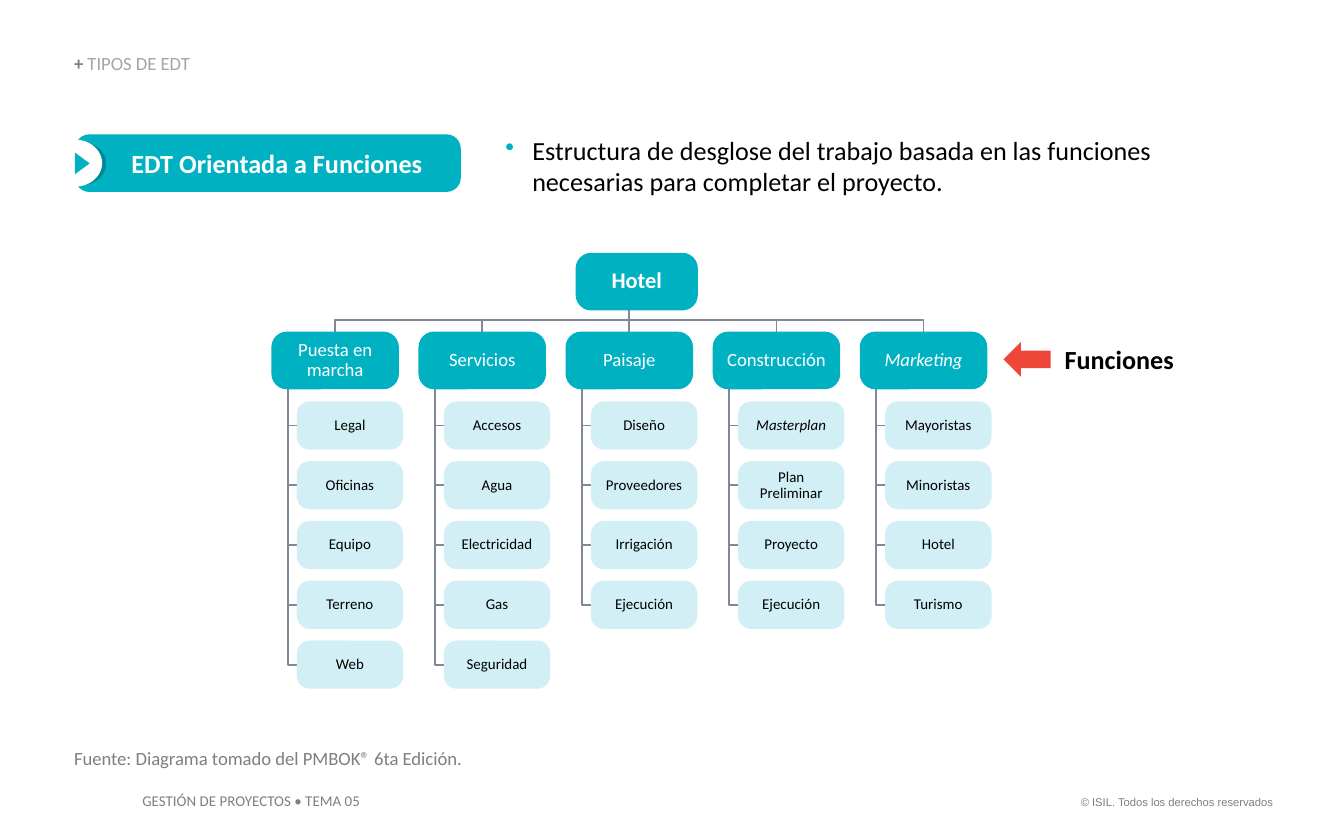
from lxml.etree import SubElement
from pptx import Presentation
from pptx.dml.color import RGBColor
from pptx.enum.shapes import MSO_CONNECTOR, MSO_SHAPE
from pptx.enum.text import MSO_ANCHOR, PP_ALIGN
from pptx.oxml.ns import qn
from pptx.util import Cm, Pt

TEAL = RGBColor(0x00, 0xB1, 0xC2)
DARK = RGBColor(0x00, 0x89, 0x96)
PALE = RGBColor(0xD1, 0xEF, 0xF4)
SLATE = RGBColor(0x80, 0x87, 0x99)
GRAY = RGBColor(0x7F, 0x7F, 0x7F)
SILVER = RGBColor(0xA5, 0xA5, 0xA5)
RED = RGBColor(0xEE, 0x46, 0x38)
WHITE = RGBColor(0xFF, 0xFF, 0xFF)
BLACK = RGBColor(0x00, 0x00, 0x00)

# Content
TITLE = "EDT Orientada a Funciones"
NOTE = ("Estructura de desglose del trabajo basada en las funciones "
        "necesarias para completar el proyecto.")
SOURCE = "Fuente: Diagrama tomado del PMBOK® 6ta Edición."
COURSE = "GESTIÓN DE PROYECTOS • TEMA 05"
RIGHTS = "© ISIL. Todos los derechos reservados"
ROOT = "Hotel"
TREE = [
    ("Puesta en marcha", ["Legal", "Oficinas", "Equipo", "Terreno", "Web"]),
    ("Servicios", ["Accesos", "Agua", "Electricidad", "Gas", "Seguridad"]),
    ("Paisaje", ["Diseño", "Proveedores", "Irrigación", "Ejecución"]),
    ("Construcción", ["Masterplan", "Plan\vPreliminar", "Proyecto", "Ejecución"]),
    ("Marketing", ["Mayoristas", "Minoristas", "Hotel", "Turismo"]),
]
ITALIC = {"Marketing", "Masterplan"}

# Tree grid, in cm
LEFT, STEP = 5.13, 2.78
HEAD_TOP, HEAD_W, HEAD_H = 6.27, 2.41, 1.09
LEAF_TOP, LEAF_W, LEAF_H, PITCH = 7.59, 2.01, 0.91, 1.13
LEAF_IN, TRUNK_IN = 0.48, 0.31
ROOT_TOP, BUS = 4.78, 6.05
ROUND = 0.268

deck = Presentation()
deck.slide_width, deck.slide_height = Cm(25.4), Cm(15.88)
slide = deck.slides.add_slide(deck.slide_layouts[6])
shapes = slide.shapes


def write(shape, text, size=10, color=BLACK, bold=False, italic=False,
          font="Calibri", align=PP_ALIGN.LEFT, anchor=MSO_ANCHOR.TOP,
          inset=(0, 0, 0, 0), space=None, bullet=None):
    frame = shape.text_frame
    frame.word_wrap = True
    frame.vertical_anchor = anchor
    (frame.margin_left, frame.margin_top,
     frame.margin_right, frame.margin_bottom) = [Cm(v) for v in inset]
    para = frame.paragraphs[0]
    para.text = text
    para.alignment = align
    if space:
        para.line_spacing = space
    if bullet:
        props = para._p.get_or_add_pPr()
        props.set("marL", str(Cm(0.51)))
        props.set("indent", str(-Cm(0.51)))
        tint = SubElement(props, qn("a:buClr"))
        SubElement(tint, qn("a:srgbClr")).set("val", str(bullet))
        SubElement(props, qn("a:buChar")).set("char", "•")
    for run in para.runs:
        style(run, size, color, bold, italic, font)
    return para


def style(run, size, color, bold=False, italic=False, font="Calibri"):
    run.font.size, run.font.name = Pt(size), font
    run.font.bold, run.font.italic = bold, italic
    run.font.color.rgb = color


def label(x, y, w, h, text, **form):
    return write(shapes.add_textbox(Cm(x), Cm(y), Cm(w), Cm(h)), text, **form)


def block(kind, x, y, w, h, fill, turn=0, round=None):
    item = shapes.add_shape(kind, Cm(x), Cm(y), Cm(w), Cm(h))
    item.shadow.inherit = False
    item.fill.solid()
    item.fill.fore_color.rgb = fill
    item.line.fill.background()
    item.rotation = turn
    if round:
        item.adjustments[0] = round
    return item


def node(x, y, w, h, fill, text, side=0, **form):
    item = block(MSO_SHAPE.ROUNDED_RECTANGLE, x, y, w, h, fill, round=ROUND)
    write(item, text, align=PP_ALIGN.CENTER, anchor=MSO_ANCHOR.MIDDLE,
          inset=(side, 0.13, side, 0.13), space=0.9,
          italic=text in ITALIC, **form)
    return item


def bend(*spots):
    spots = [(Cm(x), Cm(y)) for x, y in spots]
    pen = shapes.build_freeform(*spots[0])
    pen.add_line_segments(spots[1:], close=False)
    item = pen.convert_to_shape()
    item.shadow.inherit = False
    item.fill.background()
    item.line.color.rgb = SLATE
    item.line.width = Pt(1)


# Footer
label(20.09, 14.91, 4.22, 0.51, RIGHTS, size=6, color=GRAY, font="Arial",
      align=PP_ALIGN.RIGHT, inset=(0.25, 0.13, 0.25, 0.13))
label(2.44, 14.83, 4.83, 0.61, COURSE, size=8, color=GRAY,
      inset=(0.25, 0.13, 0.25, 0.13))

# Tree lines, behind the boxes
mid = len(TREE) // 2
hub = LEFT + mid * STEP + HEAD_W / 2
for col, (head, leaves) in enumerate(TREE):
    x = LEFT + col * STEP
    if col != mid:
        top = x + HEAD_W / 2
        bend((hub, ROOT_TOP + HEAD_H), (hub, BUS), (top, BUS), (top, HEAD_TOP))
    trunk = x + TRUNK_IN
    for row in range(len(leaves)):
        y = LEAF_TOP + row * PITCH + LEAF_H / 2
        bend((trunk, HEAD_TOP + HEAD_H), (trunk, y), (x + LEAF_IN, y))

# Section name and source
para = label(1.4, 1.04, 6.76, 0.38, "+ ", color=GRAY, bold=True,
             anchor=MSO_ANCHOR.BOTTOM, space=0.9)
run = para.add_run()
run.text = "TIPOS DE EDT"
style(run, 10, SILVER)
label(1.4, 14.12, 16.61, 0.43, SOURCE, color=GRAY)

# Title badge
badge = block(MSO_SHAPE.ROUNDED_RECTANGLE, 1.42, 2.54, 7.29, 1.09, TEAL, round=0.248)
write(badge, TITLE, size=14, color=WHITE, bold=True, align=PP_ALIGN.CENTER,
      anchor=MSO_ANCHOR.MIDDLE, inset=(0.71, 0.13, 0.37, 0.13))
block(MSO_SHAPE.OVAL, 1.07, 2.69, 0.94, 0.81, DARK)
block(MSO_SHAPE.OVAL, 0.91, 2.64, 1.02, 0.89, WHITE)
block(MSO_SHAPE.ISOSCELES_TRIANGLE, 1.35, 2.95, 0.41, 0.28, TEAL, turn=90)

# Definition
label(9.55, 2.54, 13.44, 1.19, NOTE, size=14, bullet=TEAL)

# Tree boxes
node(10.88, ROOT_TOP, 2.31, HEAD_H, TEAL, ROOT, side=0.25,
     size=12, color=WHITE, bold=True)
for col, (head, leaves) in enumerate(TREE):
    x = LEFT + col * STEP
    box = node(x, HEAD_TOP, HEAD_W, HEAD_H, TEAL, head, color=WHITE)
    if col == mid:
        stem = shapes.add_connector(MSO_CONNECTOR.STRAIGHT, Cm(hub),
                                    Cm(ROOT_TOP + HEAD_H), Cm(hub), Cm(HEAD_TOP))
        stem.end_connect(box, 0)
        stem.line.color.rgb = SLATE
        stem.line.width = Pt(1)
        SubElement(stem._element.spPr, qn("a:effectLst"))
    for row, leaf in enumerate(leaves):
        node(x + LEAF_IN, LEAF_TOP + row * PITCH, LEAF_W, LEAF_H, PALE, leaf, size=8)

# Level marker
label(20.12, 6.5, 2.67, 0.61, "Funciones", size=14, bold=True)
block(MSO_SHAPE.DOWN_ARROW, 19.08, 6.35, 0.66, 0.89, RED, turn=90)

deck.save("out.pptx")
